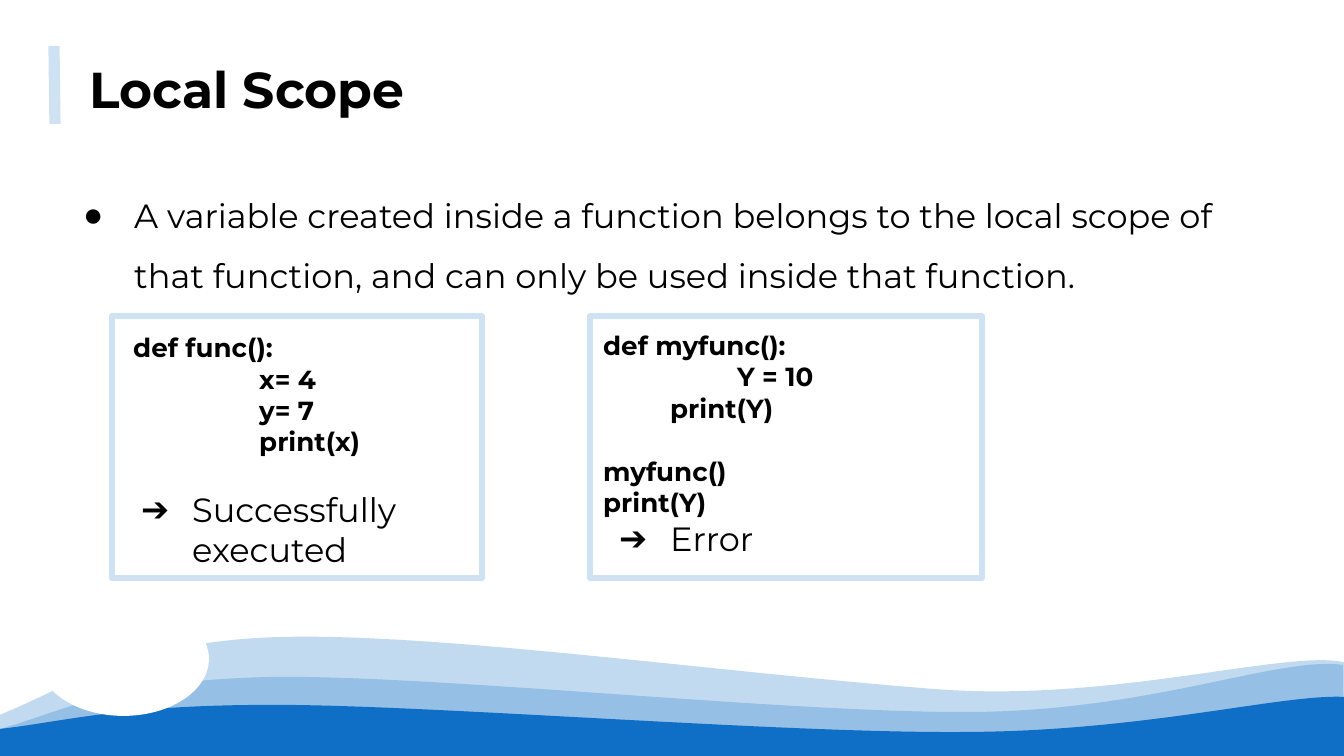
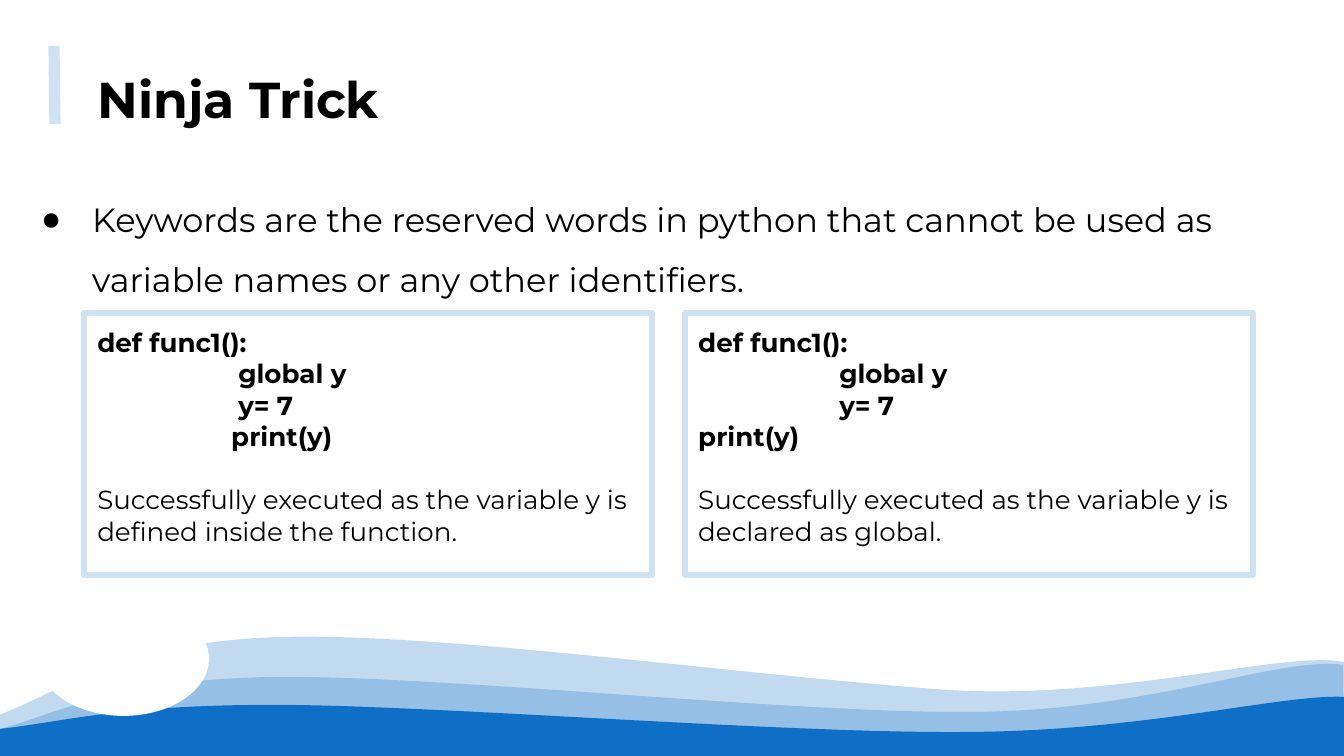
from lxml.etree import SubElement
from pptx import Presentation
from pptx.dml.color import RGBColor
from pptx.enum.lang import MSO_LANGUAGE_ID
from pptx.enum.shapes import MSO_CONNECTOR, MSO_SHAPE
from pptx.enum.text import MSO_ANCHOR, MSO_AUTO_SIZE, PP_ALIGN
from pptx.oxml.ns import qn
from pptx.util import Emu, Pt

EMU_PER_PIXEL = 914400 / 134.4
WIDTH, HEIGHT = 1344, 756
INSET = Pt(7.2)
TAB = 134
LIST_INDENT, LIST_HANGING = 67, -51
CODE_SIZE = 14
BLANK_LINE = 17
FONT = "Montserrat"
BULLET_FONTS = {"●": "Arial", "➔": FONT}
BLACK = RGBColor(0x00, 0x00, 0x00)
WHITE = RGBColor(0xFF, 0xFF, 0xFF)
PALE_BLUE = RGBColor(0xCF, 0xE2, 0xF3)
WAVE_BLUE = RGBColor(0x0F, 0x6F, 0xC6)

WAVES = [
    (25, [(-1, 715), (62, 691), (126, 641), (282, 637), (438, 633), (716, 672),
          (934, 689), (1111, 703), (1282, 650), (1344, 662)]),
    (25, [(0, 729), (63, 712), (112, 680), (274, 677), (437, 675), (798, 714),
          (976, 712), (1155, 710), (1279, 656), (1343, 665)]),
    (100, [(0, 729), (63, 722), (122, 704), (284, 705), (445, 706), (793, 734),
           (969, 732), (1146, 731), (1282, 694), (1344, 697)]),
]


def px(length):
    return Emu(round(length * EMU_PER_PIXEL))


def write_paragraph(paragraph, text, size=CODE_SIZE, bold=False, left=0, first=0,
                    spacing=None, before=0, bullet=None):
    paragraph.alignment = PP_ALIGN.LEFT
    paragraph.space_before = Pt(before)
    if spacing:
        paragraph.line_spacing = spacing
    run = paragraph.add_run()
    run.text = text
    run.font.name = FONT
    run.font.size = Pt(size)
    run.font.bold = bold
    run.font.color.rgb = BLACK
    run.font.language_id = MSO_LANGUAGE_ID.ENGLISH_US
    properties = paragraph._p.get_or_add_pPr()
    properties.set("marL", str(px(left)))
    properties.set("indent", str(px(first)))
    if bullet:
        bullet_color = SubElement(properties, qn("a:buClr"))
        SubElement(bullet_color, qn("a:srgbClr")).set("val", str(BLACK))
        SubElement(properties, qn("a:buFont")).set("typeface", BULLET_FONTS[bullet])
        SubElement(properties, qn("a:buChar")).set("char", bullet)


def code(text, left=0, **style):
    return text, dict(bold=True, left=left, **style)


def list_item(text, bullet, **style):
    return text, dict(size=18, left=LIST_INDENT, first=LIST_HANGING, bullet=bullet, **style)


class Deck:
    def __init__(self):
        self.presentation = Presentation()
        self.presentation.slide_width = px(WIDTH)
        self.presentation.slide_height = px(HEIGHT)
        self.layout = self.presentation.slide_layouts[5]
        self.slide = None

    def new_slide(self, title, left, top):
        first_slide = self.slide is None
        self.slide = self.presentation.slides.add_slide(self.layout)
        if first_slide:
            for opacity, nodes in WAVES:
                self.wave(nodes, opacity)
            self.ellipse(38, 602, 171, 114)
        self.title(title, left, top)

    def wave(self, nodes, opacity):
        points = [(px(x), px(y)) for x, y in nodes + [(WIDTH, HEIGHT), (0, HEIGHT)]]
        builder = self.slide.shapes.build_freeform(*points[0])
        builder.add_line_segments(points[1:], close=True)
        shape = builder.convert_to_shape()
        self.bend(shape, len(nodes) - 1)
        self.paint(shape, WAVE_BLUE)
        if opacity < 100:
            color = shape._element.spPr.find(qn("a:solidFill"))[0]
            SubElement(color, qn("a:alpha")).set("val", str(opacity * 1000))
        self.share(shape)

    def bend(self, shape, count):
        segments = list(shape._element.iter(qn("a:lnTo")))[:count]
        for start in range(0, count, 3):
            group = segments[start:start + 3]
            curve = SubElement(group[0].getparent(), qn("a:cubicBezTo"))
            group[0].addprevious(curve)
            for segment in group:
                curve.append(segment[0])
                segment.getparent().remove(segment)

    def ellipse(self, *frame):
        shape = self.slide.shapes.add_shape(MSO_SHAPE.OVAL, *map(px, frame))
        self.paint(shape, WHITE)
        self.share(shape)

    def share(self, shape):
        self.layout.shapes._spTree.append(shape._element)

    def paint(self, shape, color):
        shape.shadow.inherit = False
        shape.fill.solid()
        shape.fill.fore_color.rgb = color
        shape.line.fill.background()

    def title(self, text, left, top):
        shape = self.slide.shapes.title
        shape.left, shape.top, shape.width, shape.height = map(px, (left, top, 415, 81))
        self.fill_text(shape, [(text, dict(size=27, bold=True))])

    def accent_line(self):
        connector = self.slide.shapes.add_connector(
            MSO_CONNECTOR.STRAIGHT, *map(px, (54, 46, 55, 124)))
        connector.line.color.rgb = PALE_BLUE
        connector.line.width = Pt(6)
        SubElement(connector._element.spPr, qn("a:effectLst"))

    def text(self, frame, paragraphs):
        self.fill_text(self.slide.shapes.add_textbox(*map(px, frame)), paragraphs)

    def code_box(self, frame, paragraphs):
        shape = self.slide.shapes.add_shape(MSO_SHAPE.RECTANGLE, *map(px, frame))
        shape.shadow.inherit = False
        shape.fill.background()
        shape.line.color.rgb = PALE_BLUE
        shape.line.width = Pt(3)
        self.fill_text(shape, paragraphs)

    def fill_text(self, shape, paragraphs):
        frame = shape.text_frame
        frame.word_wrap = True
        frame.auto_size = MSO_AUTO_SIZE.NONE
        frame.vertical_anchor = MSO_ANCHOR.TOP
        frame.margin_left = frame.margin_right = INSET
        frame.margin_top = frame.margin_bottom = INSET
        for index, (text, style) in enumerate(paragraphs):
            paragraph = frame.add_paragraph() if index else frame.paragraphs[0]
            write_paragraph(paragraph, text, **style)


def local_scope(deck):
    deck.new_slide("Local Scope", 76, 45)
    deck.text((54, 161, 1218, 118), [list_item(
        "A variable created inside a function belongs to the local scope of that function, "
        "and can only be used inside that function.", "●", spacing=1.5)])
    deck.code_box((112, 316, 370, 262), [
        code("def func():", 8, spacing=1.07),
        code("x= 4", TAB),
        code("y= 7", TAB),
        code("print(x)", TAB),
        list_item("Successfully executed", "➔", before=BLANK_LINE),
    ])
    deck.code_box((590, 316, 392, 262), [
        code("def myfunc():"),
        code("Y = 10", TAB),
        code("print(Y)", TAB // 2),
        code("myfunc()", before=BLANK_LINE),
        code("print(Y)"),
        list_item("Error", "➔"),
    ])
    deck.accent_line()


def ninja_trick(deck):
    deck.new_slide("Ninja Trick", 84, 55)
    deck.text((12, 165, 1270, 132), [list_item(
        "Keywords are the reserved words in python that cannot be used as variable names "
        "or any other identifiers.", "●", spacing=1.5)])
    examples = [(TAB, "defined inside the function."), (0, "declared as global.")]
    for column, (print_indent, reason) in enumerate(examples):
        deck.code_box((84 + column * 601, 313, 568, 262), [
            code("def func1():"),
            code("global y", TAB + 7),
            code("y= 7", TAB + 7),
            code("print(y)", print_indent),
            (f"Successfully executed as the variable y is {reason}", dict(before=BLANK_LINE)),
        ])
    deck.accent_line()


def main():
    deck = Deck()
    local_scope(deck)
    ninja_trick(deck)
    deck.presentation.save("out.pptx")


if __name__ == "__main__":
    main()
